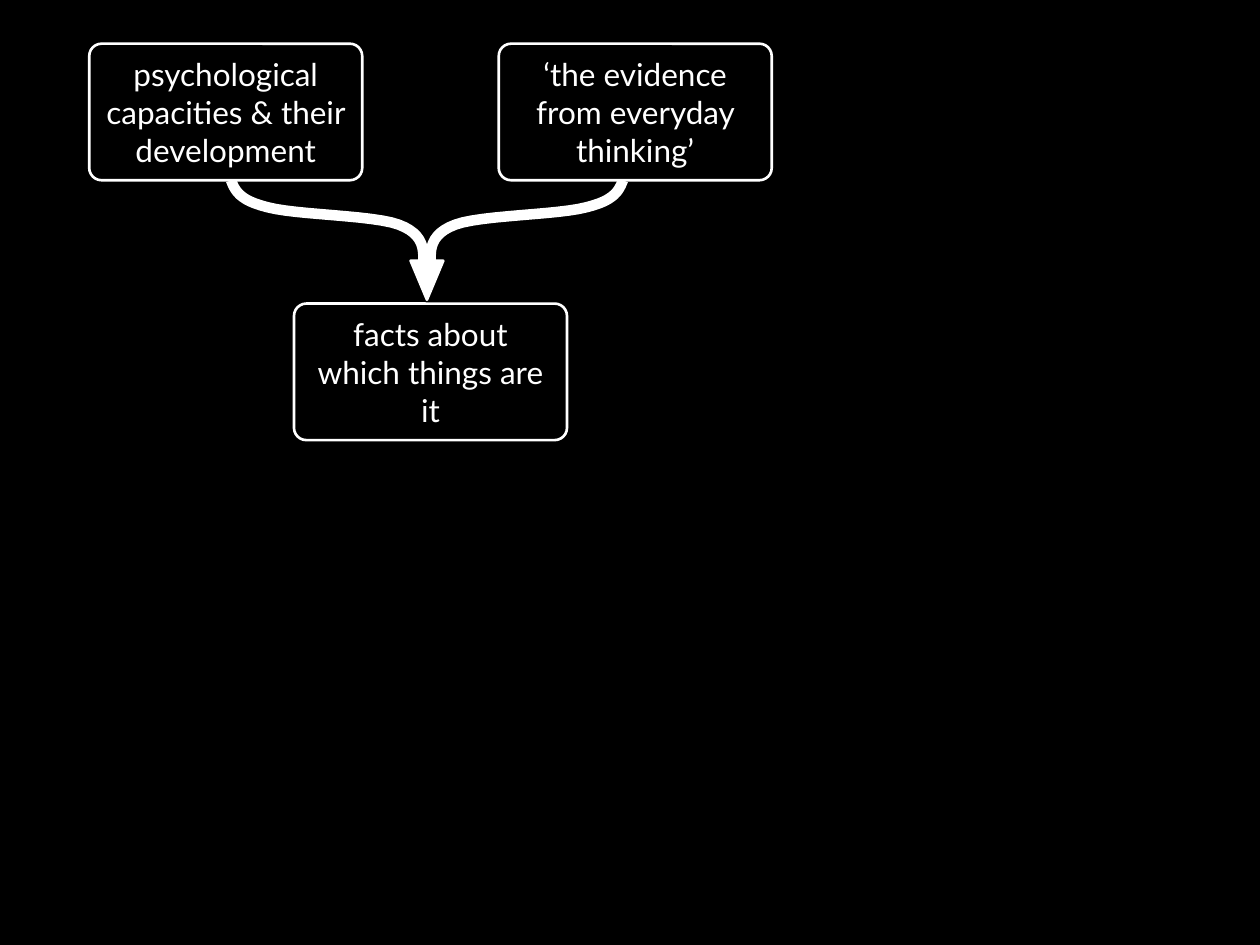
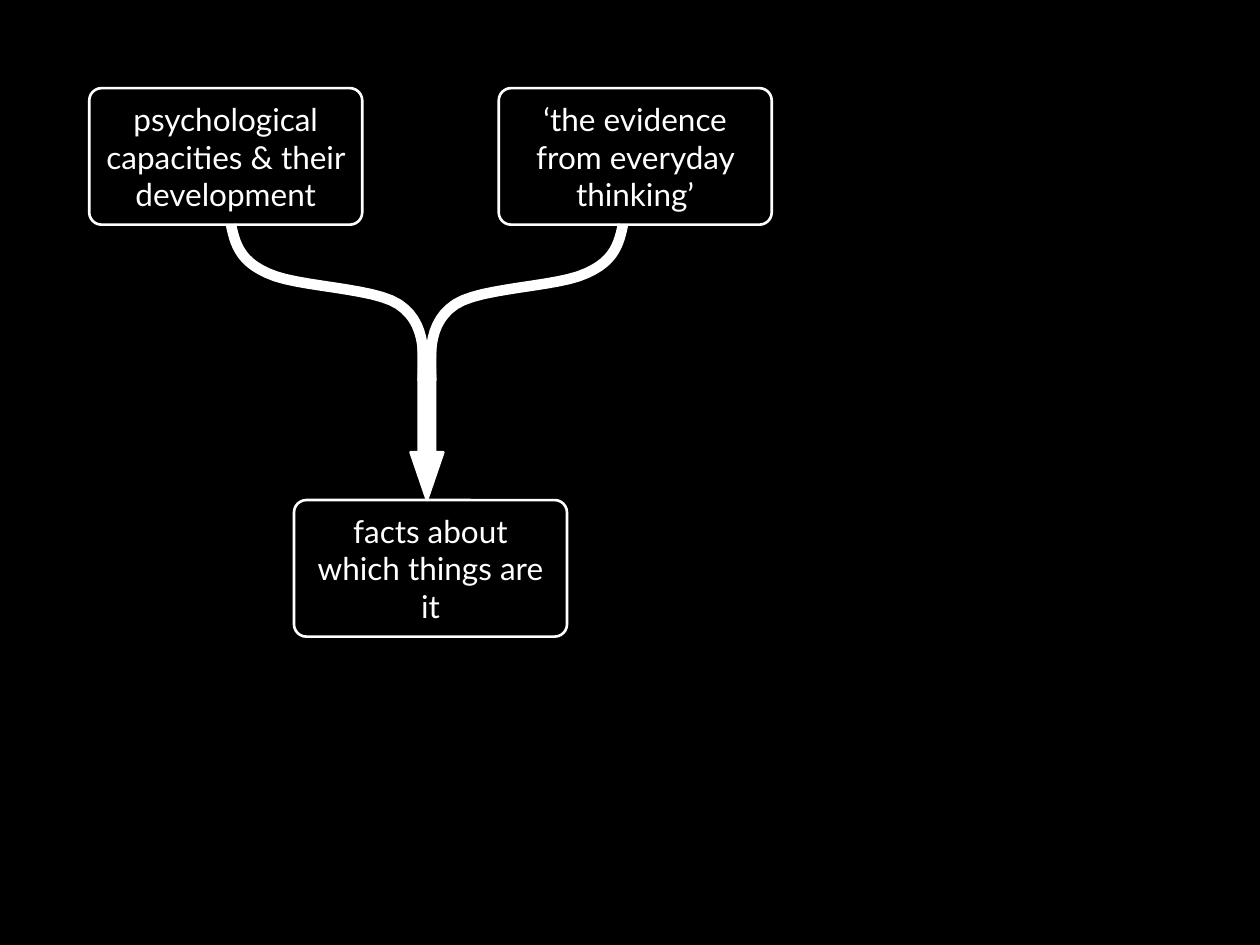
from dataclasses import dataclass

from pptx import Presentation
from pptx.dml.color import RGBColor
from pptx.enum.shapes import MSO_SHAPE
from pptx.enum.text import MSO_ANCHOR, PP_ALIGN
from pptx.util import Pt


@dataclass(frozen=True)
class Theme:
    """Colours, type and line widths, in points."""
    back: RGBColor = RGBColor(0, 0, 0)
    ink: RGBColor = RGBColor(255, 255, 255)
    font: str = "Lato"
    size: float = 18
    outline: float = 1.5
    stream: float = 6


BOX_W, BOX_H = 156, 78
LEFT_X, RIGHT_X = 51, 285
MID_X = (LEFT_X + RIGHT_X) / 2
ARROW_X, ARROW_W = 244, 18.7
STREAM_REACH, STREAM_GAP = 112, 2.5
STEPS = 12

# Three joined Bezier curves, as shares of the stream's width and height.
STREAM = [(0, 0), (0.02, 0.11), (0.04, 0.23), (0.19, 0.31), (0.34, 0.4),
          (0.74, 0.4), (0.875, 0.51), (1.01, 0.62), (1.01, 0.81), (1, 1)]


def bezier(points, t):
    """Return the point at t on a cubic Bezier curve."""
    weights = ((1 - t) ** 3, 3 * t * (1 - t) ** 2, 3 * t * t * (1 - t), t ** 3)
    return tuple(sum(w * p[i] for w, p in zip(weights, points)) for i in (0, 1))


class Diagram:
    """Draws elements in one style on the current slide."""

    def __init__(self, theme):
        """Open a deck with the shared background."""
        self.theme = theme
        self.prs = Presentation()
        self.prs.slide_width, self.prs.slide_height = Pt(720), Pt(540)
        fill = self.prs.slide_master.background.fill
        fill.solid()
        fill.fore_color.rgb = theme.back

    def new_slide(self):
        """Start a blank slide."""
        self.s = self.prs.slides.add_slide(self.prs.slide_layouts[6])

    def group(self):
        """Add a group and return its shapes."""
        return self.s.shapes.add_group_shape().shapes

    def style(self, sp, width, fill=None):
        """Give a shape its line, fill and no shadow."""
        sp.shadow.inherit = False
        sp.line.color.rgb = self.theme.ink
        sp.line.width = Pt(width)
        if fill is None:
            sp.fill.background()
        else:
            sp.fill.solid()
            sp.fill.fore_color.rgb = fill

    def box(self, shapes, x, y, text, fill=None):
        """Add a rounded box with centred text."""
        sp = shapes.add_shape(MSO_SHAPE.ROUNDED_RECTANGLE,
                              Pt(x), Pt(y), Pt(BOX_W), Pt(BOX_H))
        sp.adjustments[0] = 0.09
        self.style(sp, self.theme.outline, fill)
        tf = sp.text_frame
        tf.word_wrap = True
        tf.vertical_anchor = MSO_ANCHOR.MIDDLE
        tf.text = text
        p = tf.paragraphs[0]
        p.alignment = PP_ALIGN.CENTER
        font = p.runs[0].font
        font.name, font.size = self.theme.font, Pt(self.theme.size)
        font.color.rgb = self.theme.ink

    def sources(self, y, fill=None):
        """Add the two grouped boxes at the top."""
        shapes = self.group()
        self.box(shapes, LEFT_X, y, "psychological capacities & their development", fill)
        self.box(shapes, RIGHT_X, y, "‘the evidence from everyday thinking’", fill)

    def result(self, y):
        """Add the box that both sources lead to."""
        self.box(self.s.shapes, MID_X, y, "facts about which things are it")

    def arrow(self, shapes, y, height, head):
        """Add the block arrow that points down to the result."""
        sp = shapes.add_shape(MSO_SHAPE.DOWN_ARROW, Pt(ARROW_X - ARROW_W / 2),
                              Pt(y), Pt(ARROW_W), Pt(height))
        sp.adjustments[0], sp.adjustments[1] = 0.5, head
        self.style(sp, self.theme.outline, self.theme.ink)

    def stream(self, shapes, side, y, height):
        """Add a curve to the arrow from the left (-1) or right (1)."""
        start = ARROW_X + side * STREAM_REACH
        width = -side * (STREAM_REACH - STREAM_GAP)
        curve = [STREAM[0]] + [bezier(STREAM[i:i + 4], k / STEPS)
                               for i in (0, 3, 6) for k in range(1, STEPS + 1)]
        points = [(Pt(start + u * width), Pt(y + v * height)) for u, v in curve]
        builder = shapes.build_freeform(*points[0])
        builder.add_line_segments(points[1:], close=False)
        self.style(builder.convert_to_shape(), self.theme.stream)

    def merge(self, shapes, y, height, arrow_y, arrow_h, head):
        """Add the arrow and the two curves that run into it."""
        self.arrow(shapes, arrow_y, arrow_h, head)
        for side in (-1, 1):
            self.stream(shapes, side, y, height)


def main():
    """Build both slides and save them."""
    theme = Theme()
    d = Diagram(theme)

    d.new_slide()
    top = 25
    d.result(173.5)
    d.merge(d.group(), top + BOX_H, 49.7, 149, 22.3, 2.18)
    d.sources(top, theme.back)

    d.new_slide()
    top = 50.4
    d.result(285.8)
    d.sources(top)
    d.merge(d.s.shapes, top + BOX_H, 89.3, 196.5, 89.3, 1.46)

    d.prs.save("out.pptx")


main()
